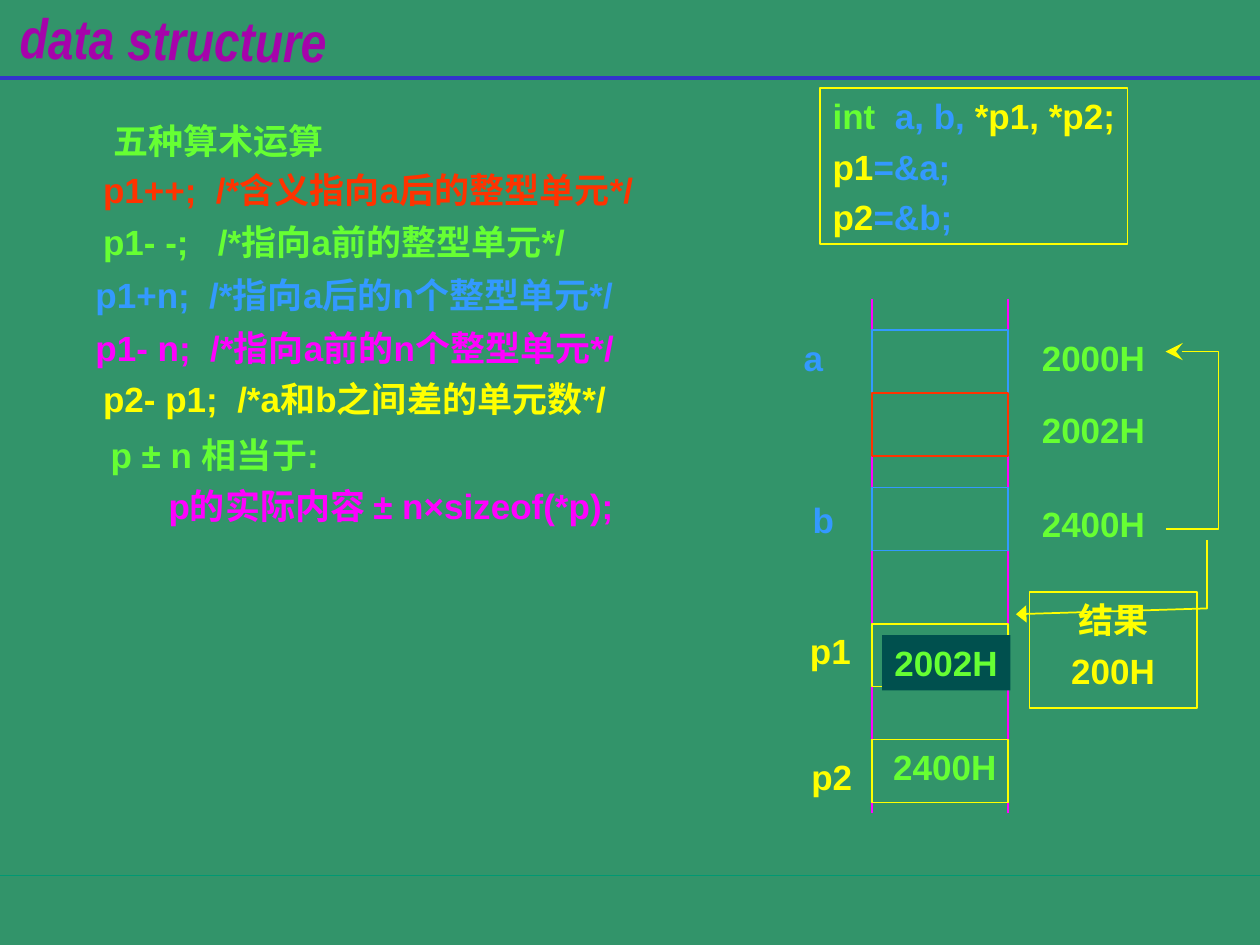
from lxml.etree import SubElement
from pptx import Presentation
from pptx.dml.color import RGBColor
from pptx.enum.shapes import MSO_CONNECTOR, MSO_SHAPE
from pptx.enum.text import MSO_ANCHOR, MSO_AUTO_SIZE, PP_ALIGN
from pptx.oxml.ns import qn
from pptx.util import Inches, Pt

C = {
    "bg": "32946A", "title": "A603AB", "rule": "3333CC", "foot": "009973",
    "green": "66FF33", "blue": "3399FF", "yellow": "FFFF00", "red": "FF3300",
    "pink": "FF00FF", "dark": "00504E",
}


def write(s, paras, size=20, font="Arial", italic=False, align=PP_ALIGN.LEFT,
          wrap=False, grow=True):
    tf = s.text_frame
    tf.word_wrap = wrap
    tf.auto_size = MSO_AUTO_SIZE.SHAPE_TO_FIT_TEXT if grow else MSO_AUTO_SIZE.NONE
    tf.vertical_anchor = MSO_ANCHOR.TOP
    tf.margin_left = tf.margin_right = Inches(0.1)
    tf.margin_top = tf.margin_bottom = Inches(0.05)
    for i, runs in enumerate(paras):
        p = tf.add_paragraph() if i else tf.paragraphs[0]
        p.alignment = align
        p.space_before = Pt(5 if i else 0)
        for text, color in runs:
            r = p.add_run()
            r.text = text
            r.font.size = Pt(size)
            r.font.name = font
            r.font.bold = True
            r.font.italic = italic
            r.font.color.rgb = RGBColor.from_string(C[color])


def stroke(s, color, width=1, head=None, head_len="med"):
    s.line.color.rgb = RGBColor.from_string(C[color])
    s.line.width = Pt(width)
    if head:
        SubElement(s.line._get_or_add_ln(), qn("a:headEnd"), type=head,
                   w="lg", len=head_len)
    if hasattr(s, "fill"):
        s.fill.background()
        s.shadow.inherit = False
    else:
        SubElement(s._element.spPr, qn("a:effectLst"))


prs = Presentation()
prs.slide_width, prs.slide_height = Inches(10), Inches(7.5)
slide = prs.slides.add_slide(prs.slide_layouts[5])
slide.background.fill.solid()
slide.background.fill.fore_color.rgb = RGBColor.from_string(C["bg"])
shapes = slide.shapes

title = shapes.title
title.left, title.top = Inches(0.06), Inches(-0.01)
title.width, title.height = Inches(2.8), Inches(0.54)
title.rotation = 0.8
write(title, [[("data structure", "title")]], size=32, font="Arial Narrow",
      italic=True, grow=False)

for x1, y1, x2, y2, color, width in [
    (0, 0.62, 10, 0.62, "rule", 2.25),
    (0, 6.95, 10, 6.95, "foot", 0.75),
    (6.92, 2.37, 6.92, 6.45, "pink", 1),
    (8, 2.37, 8, 6.45, "pink", 1),
]:
    s = shapes.add_connector(MSO_CONNECTOR.STRAIGHT, Inches(x1), Inches(y1),
                             Inches(x2), Inches(y2))
    stroke(s, color, width)

code = shapes.add_shape(MSO_SHAPE.RECTANGLE, Inches(6.51), Inches(0.7),
                        Inches(2.44), Inches(1.24))
stroke(code, "yellow")
write(code, [
    [("int  ", "green"), ("a, b, ", "blue"), ("*p1, *p2;", "yellow")],
    [("p1", "yellow"), ("=&a;", "blue")],
    [("p2", "yellow"), ("=&b;", "blue")],
])

for y, color in [(2.62, "blue"), (3.87, "blue"), (4.95, "yellow"),
                 (5.87, "yellow"), (3.12, "red")]:
    cell = shapes.add_shape(MSO_SHAPE.RECTANGLE, Inches(6.92), Inches(y),
                            Inches(1.08), Inches(0.5))
    stroke(cell, color)

for x, y, w, text, color in [
    (0.8, 0.9, 1.9, "五种算术运算", "green"),
    (0.72, 1.29, 4.7, "p1++;  /*含义指向a后的整型单元*/", "red"),
    (0.72, 1.7, 4.16, "p1- -;   /*指向a前的整型单元*/", "green"),
    (0.66, 2.12, 4.74, "p1+n;  /*指向a后的n个整型单元*/", "blue"),
    (0.66, 2.54, 4.74, "p1- n;  /*指向a前的n个整型单元*/", "pink"),
    (0.72, 2.95, 4.5, "p2- p1;  /*a和b之间差的单元数*/", "yellow"),
    (6.28, 2.62, 0.37, "a", "blue"),
    (6.35, 3.91, 0.39, "b", "blue"),
    (6.33, 4.95, 0.55, "p1", "yellow"),
    (6.34, 5.95, 0.55, "p2", "yellow"),
    (8.17, 2.62, 1.04, "2000H", "green"),
    (8.17, 3.19, 1.04, "2002H", "green"),
    (8.17, 3.94, 1.04, "2400H", "green"),
    (6.99, 5.87, 1.04, "2400H", "green"),
]:
    s = shapes.add_textbox(Inches(x), Inches(y), Inches(w), Inches(0.44))
    write(s, [[(text, color)]])

formula = shapes.add_textbox(Inches(0.78), Inches(3.39), Inches(4.5), Inches(0.84))
write(formula, [[("p ± n 相当于:", "green")],
                [("p的实际内容 ± n×sizeof(*p);", "pink")]])
formula.text_frame.paragraphs[1]._p.get_or_add_pPr().set("marL", str(Inches(0.46)))

new_value = shapes.add_shape(MSO_SHAPE.RECTANGLE, Inches(7), Inches(5.04),
                             Inches(1.02), Inches(0.44))
new_value.shadow.inherit = False
new_value.fill.solid()
new_value.fill.fore_color.rgb = RGBColor.from_string(C["dark"])
new_value.line.fill.background()
write(new_value, [[("2002H", "green")]])

fb = shapes.build_freeform(Inches(9.25), Inches(2.79))
fb.add_line_segments([(Inches(x), Inches(y)) for x, y in
                      [(9.67, 2.79), (9.67, 4.2), (9.25, 4.2)]], close=False)
stroke(fb.convert_to_shape(), "yellow", head="stealth", head_len="lg")

result = shapes.add_shape(MSO_SHAPE.LINE_CALLOUT_2, Inches(8.17), Inches(4.7),
                          Inches(1.33), Inches(0.92))
for i, value in enumerate([0.19, -0.08, 0.14, 1.06, -0.45, 1.06]):
    result.adjustments[i] = value
stroke(result, "yellow", head="triangle")
write(result, [[("结果", "yellow")], [("200H", "yellow")]],
      align=PP_ALIGN.CENTER, wrap=True, grow=False)

prs.save("out.pptx")
